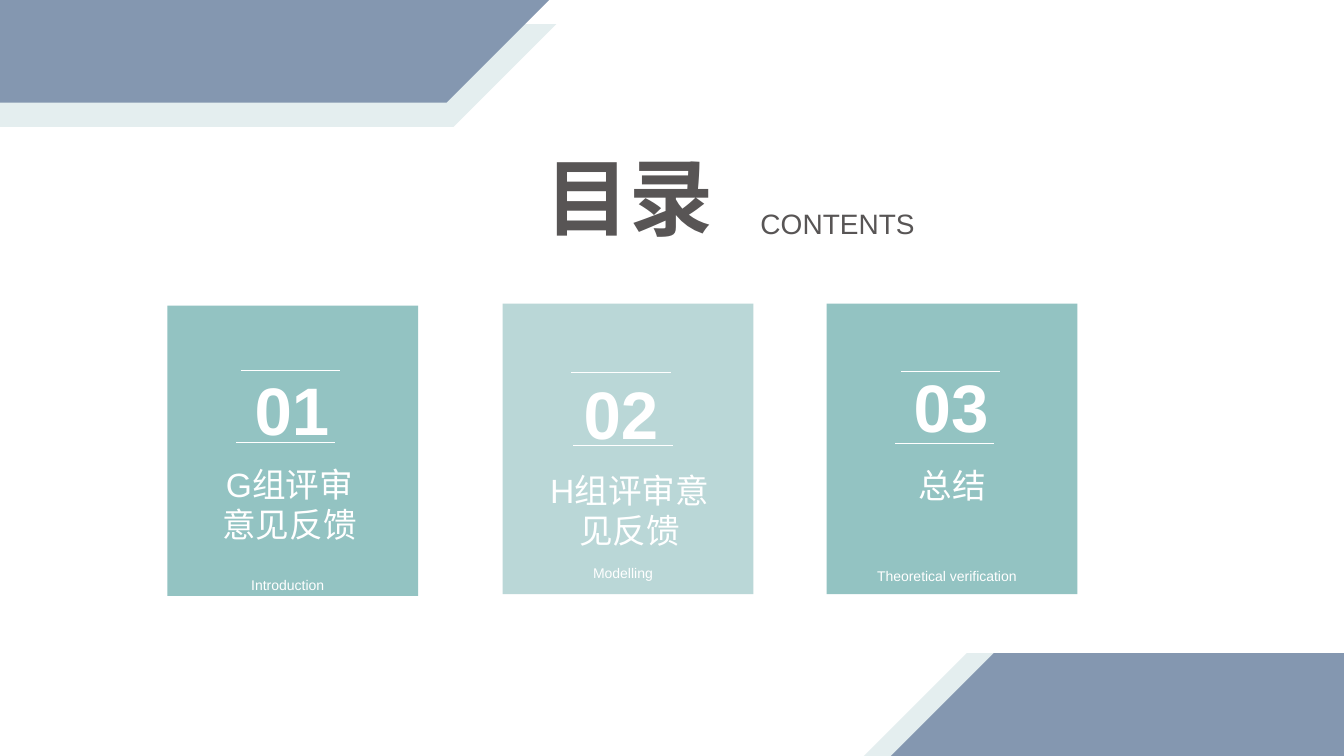
from pptx import Presentation
from pptx import util as u
from pptx.dml.color import RGBColor
from pptx.enum import shapes, text
from pptx.oxml.ns import qn
from lxml import etree

Cm = u.Cm
WHITE = RGBColor(0xFF, 0xFF, 0xFF)
GREY = RGBColor(0x58, 0x55, 0x55)
BLUE = RGBColor(0x84, 0x97, 0xB0)
PALE = RGBColor(0xE4, 0xEE, 0xEF)
TEAL = RGBColor(0x93, 0xC3, 0xC2)
LIGHT_TEAL = RGBColor(0xBA, 0xD7, 0xD7)

BAND_W, BAND_H = 18.82, 2.59
CARD_W, CARD_H = 6.32, 7.32
RULE_W = 2.5

# Each part is placed from the card's top left corner, in cm
CARDS = [
    dict(x=4.22, y=7.7, fill=TEAL, number="01", name="G组评审意见反馈",
         caption="Introduction", number_at=(1.73, 1.45), name_at=(0.84, 3.86),
         name_w=4.47, caption_y=6.48, rules=[(1.85, 1.63), (1.73, 3.45)]),
    dict(x=12.67, y=7.65, fill=LIGHT_TEAL, number="02", name="H组评审意见反馈",
         caption="Modelling", number_at=(1.57, 1.6), name_at=(0.53, 4.06),
         name_w=5.33, caption_y=6.25, rules=[(1.73, 1.73), (1.78, 3.58)]),
    dict(x=20.83, y=7.65, fill=TEAL, number="03", name="总结",
         caption="Theoretical verification", number_at=(1.73, 1.42), name_at=(-0.08, 3.94),
         name_w=6.5, caption_y=6.32, rules=[(1.88, 1.7), (1.73, 3.51)]),
]


def add_block(s, kind, x, y, w, h, color):
    sp = s.shapes.add_shape(kind, Cm(x), Cm(y), Cm(w), Cm(h))
    sp.shadow.inherit = False
    sp.fill.solid()
    sp.fill.fore_color.rgb = color
    sp.line.fill.background()
    return sp


def write(sp, words, size, color, bold=False, spacing=1.0):
    tf = sp.text_frame
    frame = dict(word_wrap=True, auto_size=text.MSO_AUTO_SIZE.NONE,
                 vertical_anchor=text.MSO_ANCHOR.TOP)
    for key, value in frame.items():
        setattr(tf, key, value)
    p = tf.paragraphs[0]
    p.alignment = text.PP_ALIGN.CENTER
    p.line_spacing = spacing
    r = p.add_run()
    r.text = words
    for key, value in dict(name="Arial", size=u.Pt(size), bold=bold).items():
        setattr(r.font, key, value)
    r.font.color.rgb = color


def add_text(s, x, y, w, h, words, size, color, **style):
    sp = s.shapes.add_textbox(Cm(x), Cm(y), Cm(w), Cm(h))
    write(sp, words, size, color, **style)


def add_rule(s, x, y):
    ln = s.shapes.add_connector(shapes.MSO_CONNECTOR.STRAIGHT,
                                Cm(x), Cm(y), Cm(x + RULE_W), Cm(y))
    ln.line.color.rgb = WHITE
    ln.line.width = u.Pt(0.5)
    etree.SubElement(ln._element.spPr, qn("a:effectLst"))


def add_corner(s, bands):
    for x, y, color in bands:
        sp = add_block(s, shapes.MSO_SHAPE.PARALLELOGRAM, x, y, BAND_W, BAND_H, color)
        sp.adjustments[0] = 1.0


def add_heading(s, x, y):
    title = s.shapes.title
    box = dict(left=Cm(x), top=Cm(y), width=Cm(5.74), height=Cm(2.82))
    for key, value in box.items():
        setattr(title, key, value)
    write(title, "目录", 60, GREY, bold=True)
    add_text(s, x + 5.24, y + 1.55, 5.74, 1.12, "CONTENTS", 20, GREY)


def add_card(s, card):
    x, y = card["x"], card["y"]
    add_block(s, shapes.MSO_SHAPE.RECTANGLE, x, y, CARD_W, CARD_H, card["fill"])
    add_text(s, x - 0.08, y + card["caption_y"], 6.22, 0.81,
             card["caption"], 10, WHITE, spacing=1.5)
    dx, dy = card["name_at"]
    add_text(s, x + dx, y + dy, card["name_w"], 2.31, card["name"], 24, WHITE)
    dx, dy = card["number_at"]
    add_text(s, x + dx, y + dy, 2.82, 2.31, card["number"], 48, WHITE, bold=True)
    for dx, dy in card["rules"]:
        add_rule(s, x + dx, y + dy)


def main():
    prs = Presentation()
    prs.slide_width, prs.slide_height = Cm(33.87), Cm(19.05)
    s = prs.slides.add_slide(prs.slide_layouts[5])

    # Corner bands: pale behind, blue in front
    add_corner(s, [(-4.8, 0.61, PALE), (-4.98, 0, BLUE)])
    add_corner(s, [(21.77, 16.46, PALE), (22.45, 16.46, BLUE)])

    # Heading
    add_heading(s, 13, 3.53)

    # Section cards
    for card in CARDS:
        add_card(s, card)

    prs.save("out.pptx")


if __name__ == "__main__":
    main()
